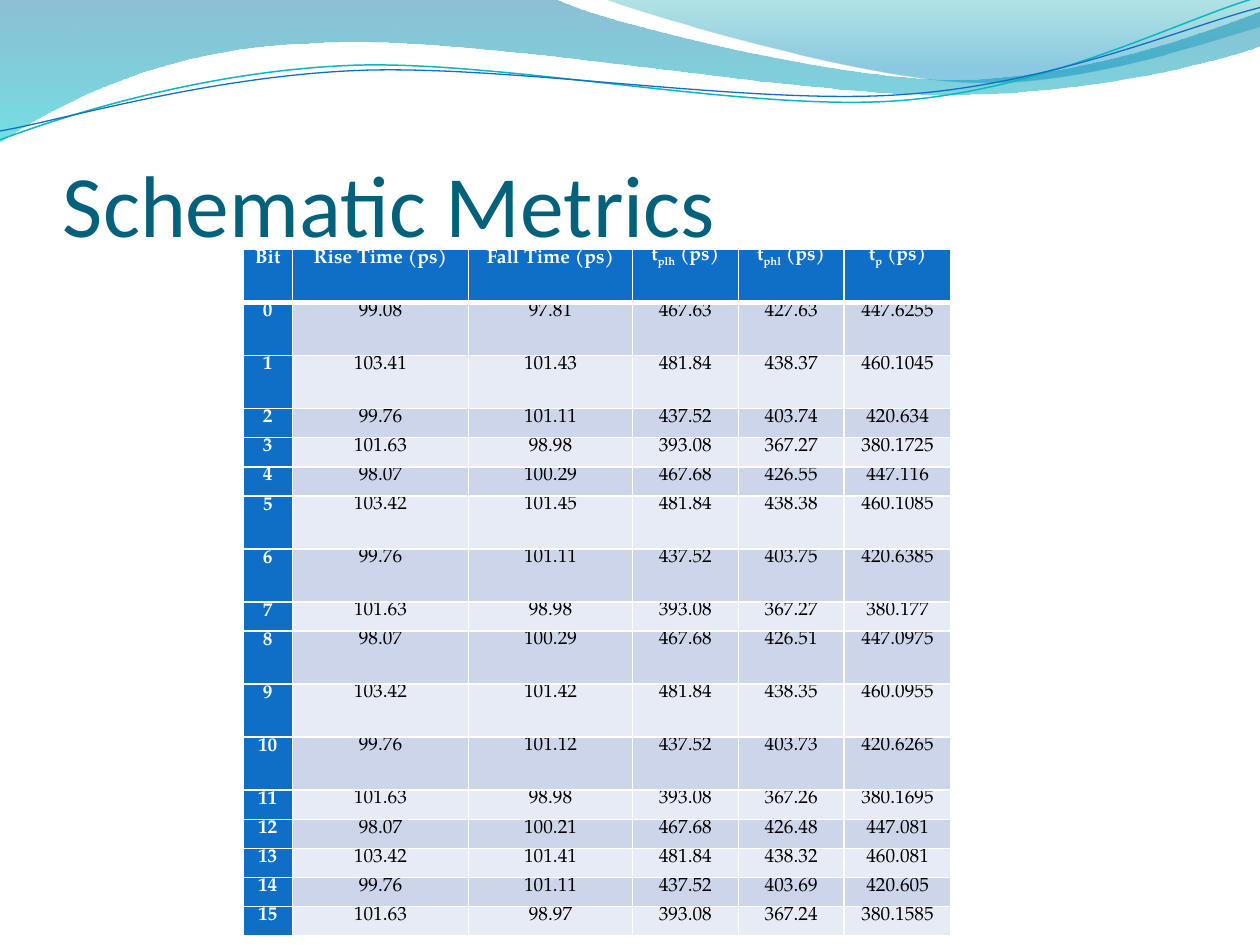
import pptx
import pptx.dml.color
import pptx.enum.text
import pptx.oxml
import pptx.oxml.ns
import pptx.util
import lxml.etree

Inches = pptx.util.Inches
Pt = pptx.util.Pt
qn = pptx.oxml.ns.qn

HEADER = ["Bit", "Rise Time (ps)", "Fall Time (ps)",
          ("t", "plh", " (ps)"), ("t", "phl", " (ps)"), ("t", "p", " (ps)")]
METRICS = """
99.08 97.81 467.63 427.63 447.6255
103.41 101.43 481.84 438.37 460.1045
99.76 101.11 437.52 403.74 420.634
101.63 98.98 393.08 367.27 380.1725
98.07 100.29 467.68 426.55 447.116
103.42 101.45 481.84 438.38 460.1085
99.76 101.11 437.52 403.75 420.6385
101.63 98.98 393.08 367.27 380.177
98.07 100.29 467.68 426.51 447.0975
103.42 101.42 481.84 438.35 460.0955
99.76 101.12 437.52 403.73 420.6265
101.63 98.98 393.08 367.26 380.1695
98.07 100.21 467.68 426.48 447.081
103.42 101.41 481.84 438.32 460.081
99.76 101.11 437.52 403.69 420.605
101.63 98.97 393.08 367.24 380.1585
"""
COLUMNS = [0.39, 1.4, 1.3, 0.84, 0.84, 0.85]
TALL_ROWS = {0, 1, 2, 6, 7, 9, 10, 11}
TABLE_HEIGHT = 5.45

UPPER_WAVE = [(0, 0), (4.4, -0.01),
              (4.76, 0.17, 6.64, 0.63, 7.58, 0.63), (8.53, 0.63, 9.58, 0.26, 10, 0.09),
              (10.01, 0.36), (9.83, 0.44, 8.7, 0.76, 7.46, 0.75),
              (6.22, 0.75, 3.82, 0.28, 2.57, 0.34), (1.29, 0.36, 0.46, 0.83, -0.01, 1.13),
              (0, 0)]
RIGHT_WAVE = [(4.79, -0.01), (5.09, 0.11, 6.82, 0.62, 7.69, 0.65),
              (8.56, 0.69, 9.61, 0.32, 10, 0.21), (10, 0), (4.79, -0.01)]
TEAL_CURVE = [(0, 1.11), (0.48, 0.93, 1.58, 0.57, 2.77, 0.52),
              (3.95, 0.47, 5.93, 0.89, 7.13, 0.8), (8.33, 0.71, 9.38, 0.15, 9.98, -0.02)]
BLUE_CURVE = [(0, 1.04), (0.47, 0.96, 1.64, 0.61, 2.83, 0.56),
              (4.03, 0.51, 5.97, 0.84, 7.17, 0.75), (8.36, 0.67, 9.41, 0.21, 10, 0.06)]


def rgb(value):
    return pptx.dml.color.RGBColor.from_string(value)


class Deck:
    title_font = "Calibri"
    table_font = "TeX Gyre Pagella"
    title_color = "04617B"
    accent = "0F6FC6"
    white = "FFFFFF"
    black = "000000"
    bands = ("CCD5EA", "E7EBF5")

    def __init__(self, width, height):
        self.prs = pptx.Presentation()
        self.prs.slide_width = Inches(width)
        self.prs.slide_height = Inches(height)
        self.s = self.prs.slides.add_slide(self.prs.slide_layouts[6])

    def outline(self, segments, close):
        anchors = [(Inches(seg[-2]), Inches(seg[-1])) for seg in segments]
        builder = self.s.shapes.build_freeform(*anchors[0], scale=1.0)
        builder.add_line_segments(anchors[1:], close=close)
        sp = builder.convert_to_shape()
        sp.shadow.inherit = False
        lines = list(sp.element.spPr.iter(qn("a:lnTo")))
        for line, seg in zip(lines, segments[1:]):
            if len(seg) == 6:
                self.bend(sp, line, seg)
        return sp

    def bend(self, sp, line, seg):
        line.tag = qn("a:cubicBezTo")
        for i, (x, y) in enumerate((seg[:2], seg[2:4])):
            pt = lxml.etree.Element(qn("a:pt"))
            pt.set("x", str(Inches(x) - sp.left))
            pt.set("y", str(Inches(y) - sp.top))
            line.insert(i, pt)

    def wave(self, segments, stops):
        sp = self.outline(segments, True)
        sp.line.fill.background()
        sp.fill.gradient()
        sp.fill.gradient_angle = 270
        for stop, (position, color, opacity) in zip(sp.fill.gradient_stops, stops):
            stop.position = position
            stop.color.rgb = rgb(color)
        for clr, stop in zip(sp.element.spPr.iter(qn("a:srgbClr")), stops):
            alpha = lxml.etree.SubElement(clr, qn("a:alpha"))
            alpha.set("val", str(stop[2] * 1000))

    def curve(self, segments, color, width):
        sp = self.outline(segments, False)
        sp.fill.background()
        sp.line.color.rgb = rgb(color)
        sp.line.width = Pt(width)

    def run(self, p, text, font, size, color, bold=False):
        r = p.add_run()
        r.text = text
        r.font.name = font
        r.font.size = Pt(size)
        r.font.bold = bold
        r.font.color.rgb = rgb(color)
        return r

    def title(self, text, left, top, width, height):
        sp = self.s.shapes.add_textbox(*map(Inches, (left, top, width, height)))
        tf = sp.text_frame
        tf.word_wrap = True
        tf.vertical_anchor = pptx.enum.text.MSO_ANCHOR.BOTTOM
        tf.margin_left = tf.margin_right = tf.margin_bottom = 0
        tf.margin_top = Inches(0.05)
        self.run(tf.paragraphs[0], text, self.title_font, 50, self.title_color)

    def borders(self, cell, widths):
        tcPr = cell._tc.get_or_add_tcPr()
        for i, (side, width) in enumerate(zip("LRTB", widths)):
            ln = pptx.oxml.parse_xml(
                f'<a:ln{side} xmlns:a="http://schemas.openxmlformats.org/drawingml/2006/main" '
                f'w="{Pt(width)}"><a:solidFill><a:srgbClr val="{self.white}"/>'
                f'</a:solidFill></a:ln{side}>')
            tcPr.insert(i, ln)

    def cell(self, cell, content, row, col):
        heading = row == 0 or col == 0
        cell.margin_left = cell.margin_right = Inches(0.07)
        cell.margin_top = cell.margin_bottom = 0
        cell.fill.solid()
        cell.fill.fore_color.rgb = rgb(self.accent if heading else self.bands[(row - 1) % 2])
        self.borders(cell, (1, 1, 1, 3 if row == 0 else 1))
        p = cell.text_frame.paragraphs[0]
        p.alignment = pptx.enum.text.PP_ALIGN.CENTER
        p.line_spacing = Pt(11)
        parts = (content,) if isinstance(content, str) else content
        for i, text in enumerate(parts):
            r = self.run(p, text, self.table_font, 11,
                         self.white if heading else self.black, heading)
            if i == 1:
                r.font._element.set("baseline", "-25000")

    def table(self, rows, left, top, columns, heights):
        frame = self.s.shapes.add_table(
            len(rows), len(columns), Inches(left), Inches(top),
            Inches(sum(columns)), Inches(sum(heights)))
        tbl = frame.table
        for column, width in zip(tbl.columns, columns):
            column.width = Inches(width)
        for i, (row, height) in enumerate(zip(rows, heights)):
            tbl.rows[i].height = Inches(height)
            for j, content in enumerate(row):
                self.cell(tbl.cell(i, j), content, i, j)


def main():
    deck = Deck(10, 7.5)
    deck.wave(UPPER_WAVE, [(0, "0074A1", 45), (1, "00C6CF", 55)])
    deck.wave(RIGHT_WAVE, [(0, "00A1A9", 30), (0.8, "008BBF", 45)])
    deck.curve(TEAL_CURVE, "0AB8BF", 0.85)
    deck.curve(BLUE_CURVE, deck.accent, 0.75)
    deck.title("Schematic Metrics", 0.5, 0.77, 9, 1.25)
    rows = [HEADER] + [[str(bit), *line.split()]
                       for bit, line in enumerate(METRICS.strip().splitlines())]
    weights = [1.82 if i in TALL_ROWS else 1 for i in range(len(rows))]
    heights = [TABLE_HEIGHT * weight / sum(weights) for weight in weights]
    deck.table(rows, 1.93, 1.98, COLUMNS, heights)
    deck.prs.save("out.pptx")


if __name__ == "__main__":
    main()
